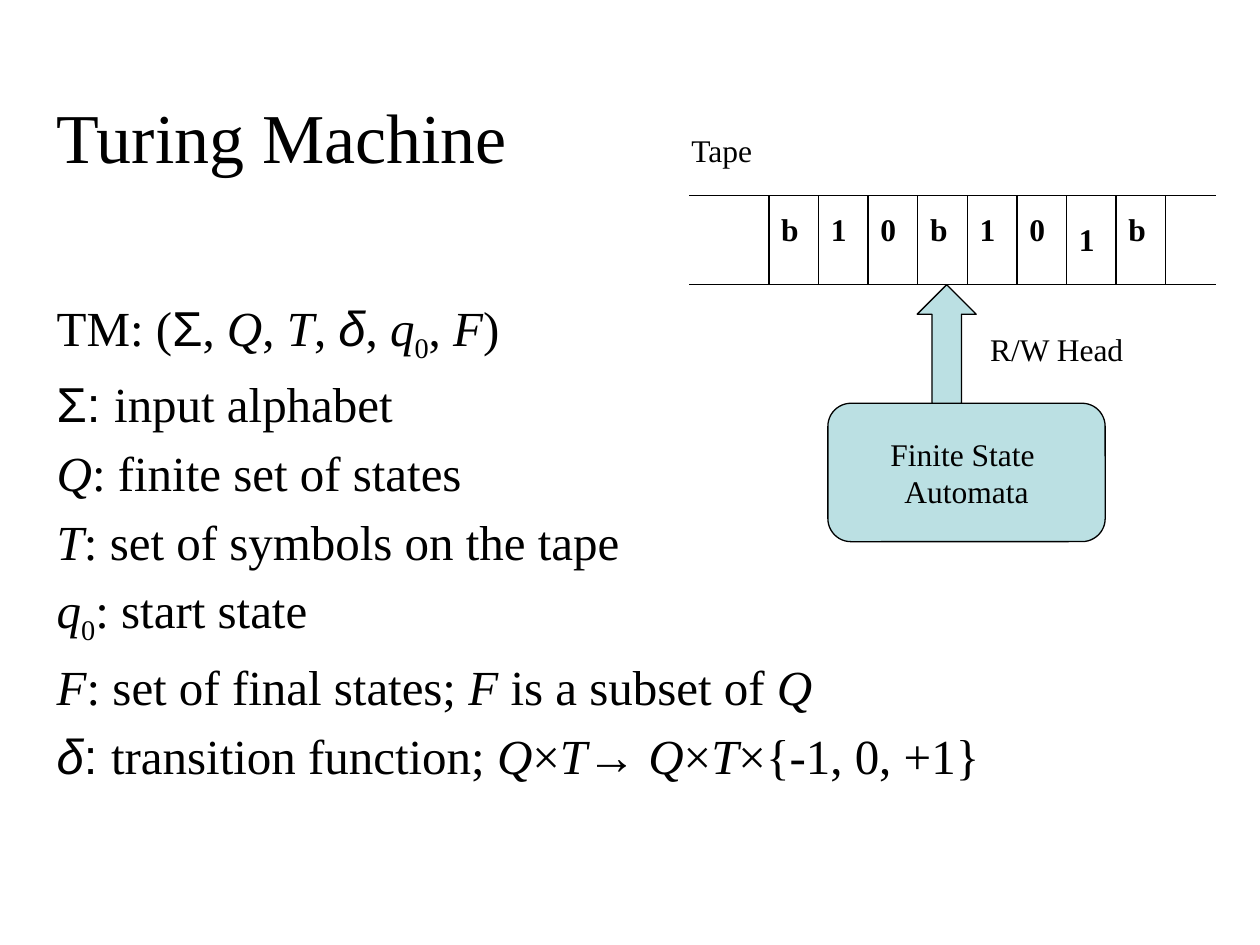
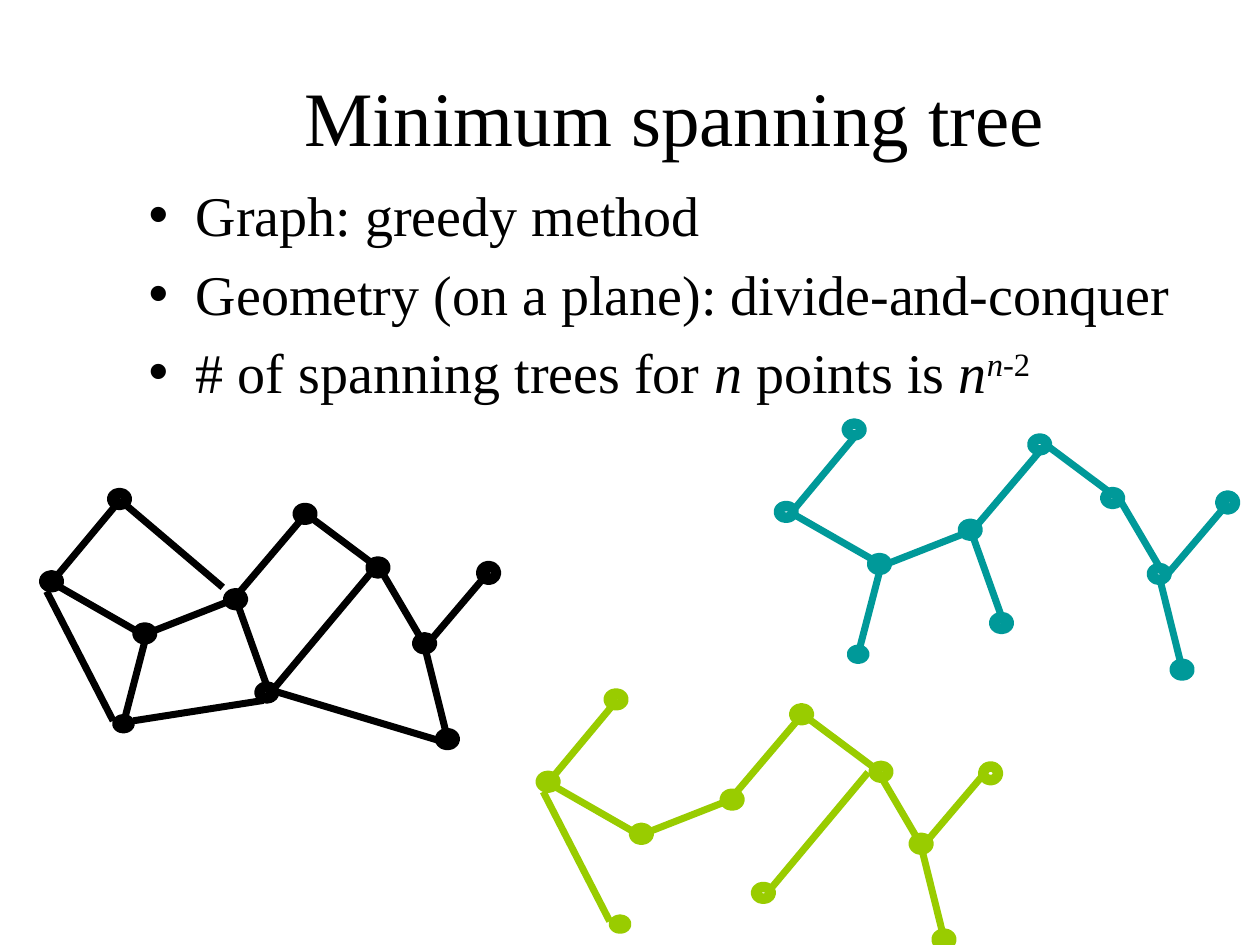
import pptx
import pptx.util
import pptx.dml.color
import pptx.enum.shapes
import pptx.enum.text
import pptx.oxml.ns
from lxml import etree

Cm = pptx.util.Cm
Pt = pptx.util.Pt
MSO_SHAPE = pptx.enum.shapes.MSO_SHAPE
MSO_ANCHOR = pptx.enum.text.MSO_ANCHOR
MSO_AUTO_SIZE = pptx.enum.text.MSO_AUTO_SIZE
PP_ALIGN = pptx.enum.text.PP_ALIGN
qn = pptx.oxml.ns.qn

BLACK = pptx.dml.color.RGBColor(0x00, 0x00, 0x00)
PALE_BLUE = pptx.dml.color.RGBColor(0xBB, 0xE0, 0xE3)
TEAL = pptx.dml.color.RGBColor(0x00, 0x99, 0x99)
GREEN = pptx.dml.color.RGBColor(0x99, 0xCC, 0x00)

SERIF = "Times New Roman"
ITALIC = {"italic": True}
GREEK = {"font": "Arial"}
SUBSCRIPT = {"baseline": -25}
SUPERSCRIPT = {"baseline": 30}

MACHINE_LINES = [
    ["TM: (", ("Σ", GREEK), ", ", ("Q", ITALIC), ", ", ("T", ITALIC), ", ",
     ("δ", GREEK | ITALIC), ", ", ("q", ITALIC), ("0", SUBSCRIPT), ", ",
     ("F", ITALIC), ")"],
    [("Σ: ", GREEK), "input alphabet"],
    [("Q", ITALIC), ": finite set of states"],
    [("T", ITALIC), ": set of symbols on the tape"],
    [("q", ITALIC), ("0", SUBSCRIPT), ": start state"],
    [("F", ITALIC), ": set of final states; ", ("F", ITALIC),
     " is a subset of ", ("Q", ITALIC)],
    [("δ", GREEK | ITALIC), (": ", GREEK), "transition function; ",
     ("Q", ITALIC), "×", ("T", ITALIC), "→ ", ("Q", ITALIC), "×",
     ("T", ITALIC), "×{-1, 0, +1}"],
]
TREE_LINES = [
    ["Graph: greedy method"],
    ["Geometry (on a plane): divide-and-conquer"],
    ["# of spanning trees for ", ("n", ITALIC), " points is ", ("n", ITALIC),
     ("n", ITALIC | SUPERSCRIPT), ("-2", SUPERSCRIPT)],
]

TAPE_SYMBOLS = "b10b101b"
TAPE_LEFT, TAPE_RIGHT = 13.89, 24.51
TAPE_TOP, TAPE_BOTTOM = 3.94, 5.74
CELLS_LEFT, CELL_WIDTH = 15.5, 1

NODES = {
    "A": (1.37, 0), "B": (0, 1.66), "C": (1.88, 2.71), "D": (3.71, 2.02),
    "E": (5.11, 0.3), "F": (6.58, 1.38), "G": (7.52, 2.91),
    "H": (8.81, 1.49), "I": (7.98, 4.84), "J": (4.34, 3.9),
    "K": (1.45, 4.53),
}
NODE_SIZE = (0.3, 0.24)
SPECIAL_NODE_SIZES = {"H": (0.3, 0.28), "K": (0.25, 0.18)}
CHAIN = [(1.4, 0), (0, 1.68), (1.85, 2.74), (3.66, 2.03), (5.13, 0.3),
         (6.63, 1.42), (7.54, 2.97), (8.79, 1.5), (8.84, 1.5)]
EDGES = {
    "CK": ((1.9, 2.79), (1.45, 4.52)),
    "DJ": ((3.73, 2.06), (4.39, 3.91)),
    "GI": ((7.54, 3.05), (8, 4.9)),
    "BK": ((-0.1, 1.86), (1.24, 4.47)),
    "AD": ((1.45, 0.08), (3.45, 1.78)),
    "JI": ((4.45, 3.86), (7.85, 4.88)),
    "JF": ((4.45, 3.86), (6.45, 1.47)),
    "KJ": ((1.65, 4.47), (4.27, 4.06)),
}


def add_text(paragraph, text, *, size=18, font=SERIF, bold=False,
             italic=False, baseline=0):
    run = paragraph.add_run()
    run.text = text
    run.font.size = Pt(size)
    run.font.name = font
    run.font.bold = bold
    run.font.italic = italic
    run.font.color.rgb = BLACK
    if baseline:
        run.font._element.set("baseline", str(baseline * 1000))


def place(shape, left, top, width, height):
    shape.left, shape.top = Cm(left), Cm(top)
    shape.width, shape.height = Cm(width), Cm(height)


def add_title(slide, text, box, size):
    title = slide.shapes.title
    place(title, *box)
    frame = title.text_frame
    frame.auto_size = MSO_AUTO_SIZE.NONE
    frame.vertical_anchor = MSO_ANCHOR.MIDDLE
    add_text(frame.paragraphs[0], text, size=size)


def add_body(slide, lines, box, size, bulleted):
    body = slide.placeholders[1]
    place(body, *box)
    frame = body.text_frame
    frame.auto_size = MSO_AUTO_SIZE.NONE
    for index, line in enumerate(lines):
        paragraph = frame.add_paragraph() if index else frame.paragraphs[0]
        if index == 0:
            paragraph.space_before = Pt(0)
        if not bulleted:
            properties = paragraph._p.get_or_add_pPr()
            etree.SubElement(properties, qn("a:buNone"))
        for part in line:
            text, style = (part, {}) if isinstance(part, str) else part
            add_text(paragraph, text, size=size, **style)


def add_label(slide, text, left, top, width, bold=False):
    label = slide.shapes.add_textbox(Cm(left), Cm(top), Cm(width), Cm(1.27))
    frame = label.text_frame
    frame.word_wrap = False
    frame.auto_size = MSO_AUTO_SIZE.SHAPE_TO_FIT_TEXT
    add_text(frame.paragraphs[0], text, bold=bold)


def add_line(slide, start, end, color=BLACK, width=0.75):
    line = slide.shapes.add_connector(
        pptx.enum.shapes.MSO_CONNECTOR.STRAIGHT,
        Cm(start[0]), Cm(start[1]), Cm(end[0]), Cm(end[1]))
    line.line.color.rgb = color
    line.line.width = Pt(width)
    etree.SubElement(line._element.spPr, qn("a:effectLst"))


def format_shape(shape, fill, line_color, line_width):
    shape.shadow.inherit = False
    if fill is None:
        shape.fill.background()
    else:
        shape.fill.solid()
        shape.fill.fore_color.rgb = fill
    shape.line.color.rgb = line_color
    shape.line.width = Pt(line_width)


def add_shape(slide, kind, box, fill=PALE_BLUE, line_color=BLACK, line_width=0.75):
    shape = slide.shapes.add_shape(kind, *(Cm(length) for length in box))
    format_shape(shape, fill, line_color, line_width)
    return shape


def add_tape(slide):
    for y in (TAPE_TOP, TAPE_BOTTOM):
        add_line(slide, (TAPE_LEFT, y), (TAPE_RIGHT, y))
    for index in range(len(TAPE_SYMBOLS) + 1):
        x = CELLS_LEFT + index * CELL_WIDTH
        add_line(slide, (x, TAPE_TOP), (x, TAPE_BOTTOM))
    for index, symbol in enumerate(TAPE_SYMBOLS):
        top = 4.32 if index == 6 else 4.11
        add_label(slide, symbol, CELLS_LEFT + index * CELL_WIDTH, top,
                  CELL_WIDTH, bold=True)
    add_label(slide, "Tape", 13.69, 2.51, 2.21)


def add_automaton(slide):
    automaton = add_shape(slide, MSO_SHAPE.ROUNDED_RECTANGLE,
                          (16.69, 8.13, 5.59, 2.79))
    frame = automaton.text_frame
    frame.word_wrap = False
    frame.vertical_anchor = MSO_ANCHOR.MIDDLE
    for paragraph, text in ((frame.paragraphs[0], "Finite State "),
                            (frame.add_paragraph(), "Automata")):
        paragraph.alignment = PP_ALIGN.CENTER
        add_text(paragraph, text)
    add_shape(slide, MSO_SHAPE.UP_ARROW, (18.49, TAPE_BOTTOM, 1.19, 2.39))
    add_label(slide, "R/W Head", 19.71, 6.53, 4.11)


def add_graph(slide, origin, color, edges, chain_shift=0, moved_nodes=None):
    def locate(point):
        return origin[0] + point[0], origin[1] + point[1]

    chain = [tuple(Cm(value) for value in locate((x + chain_shift, y)))
             for x, y in CHAIN]
    builder = slide.shapes.build_freeform(*chain[0])
    builder.add_line_segments(chain[1:], close=False)
    format_shape(builder.convert_to_shape(), None, color, 4)
    for edge in edges:
        start, end = EDGES[edge]
        add_line(slide, locate(start), locate(end), color, 4)
    for name, point in (NODES | (moved_nodes or {})).items():
        x, y = locate(point)
        width, height = SPECIAL_NODE_SIZES.get(name, NODE_SIZE)
        add_shape(slide, MSO_SHAPE.OVAL,
                  (x - width / 2, y - height / 2, width, height),
                  None, color, 6)


def build_turing_machine(slide):
    add_title(slide, "Turing Machine", (0.36, 1.14, 10.64, 3.18), 40)
    add_body(slide, MACHINE_LINES, (0.89, 5.86, 21.44, 10.5), 28, bulleted=False)
    add_tape(slide)
    add_automaton(slide)


def build_spanning_tree(slide):
    add_title(slide, "Minimum spanning tree ", (2.97, 1.27, 21.64, 2.13), 44)
    add_body(slide, TREE_LINES, (2.74, 3.52, 21.59, 5.74), 32, bulleted=True)
    add_graph(slide, (1.04, 10.06), BLACK, EDGES)
    add_graph(slide, (15.85, 8.66), TEAL, ("CK", "DJ", "GI"),
              chain_shift=0.1, moved_nodes={"H": (8.9, 1.47)})
    add_graph(slide, (11.05, 14.1), GREEN, ("GI", "BK", "JF"),
              moved_nodes={"F": (6.71, 1.46), "H": (8.92, 1.49)})


def main():
    presentation = pptx.Presentation()
    presentation.slide_width = Cm(25.4)
    presentation.slide_height = Cm(19.05)
    layout = presentation.slide_layouts[1]
    for build in (build_turing_machine, build_spanning_tree):
        build(presentation.slides.add_slide(layout))
    presentation.save("out.pptx")


if __name__ == "__main__":
    main()
